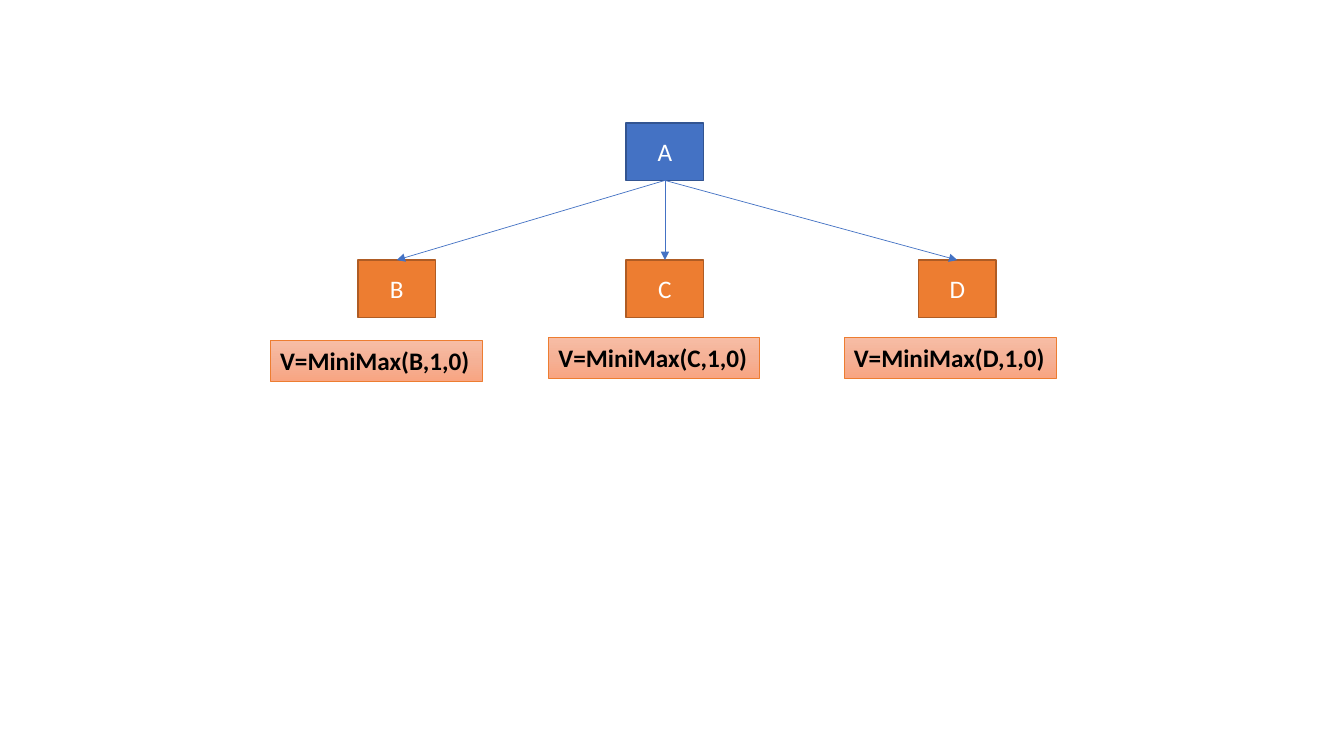
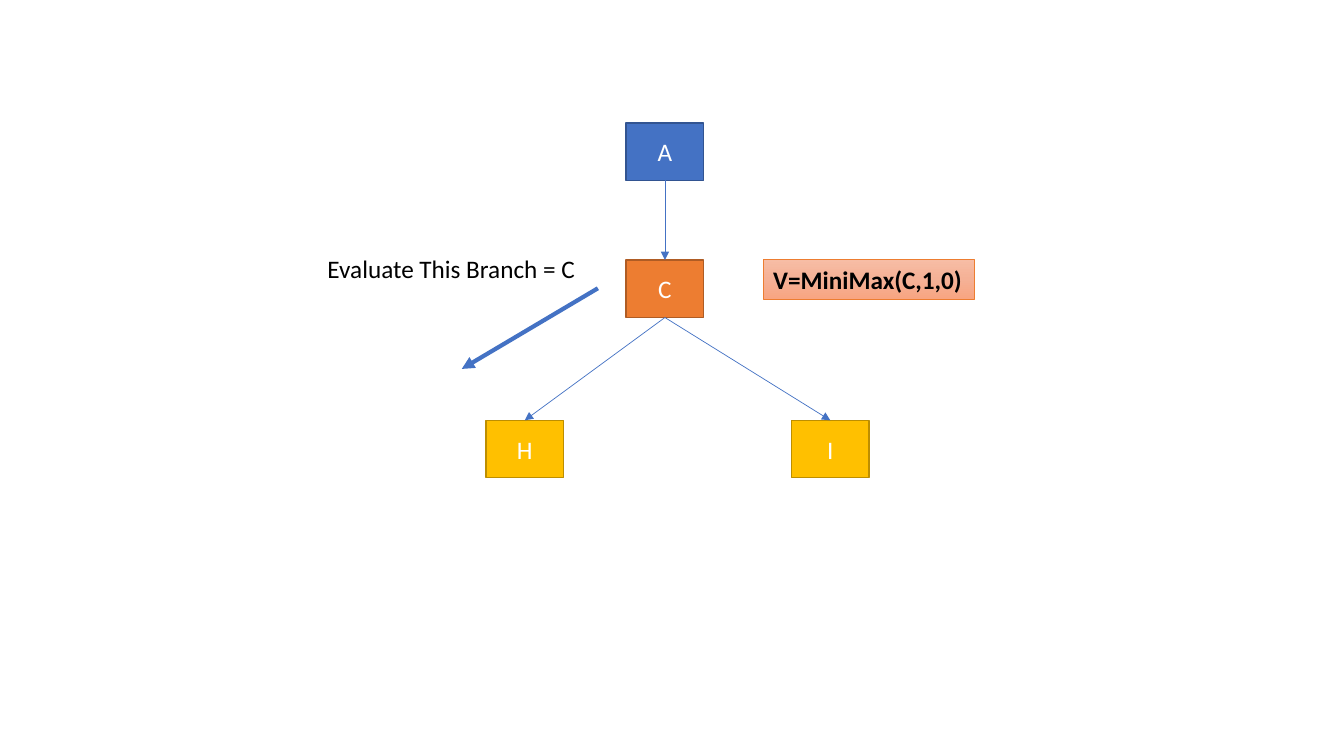
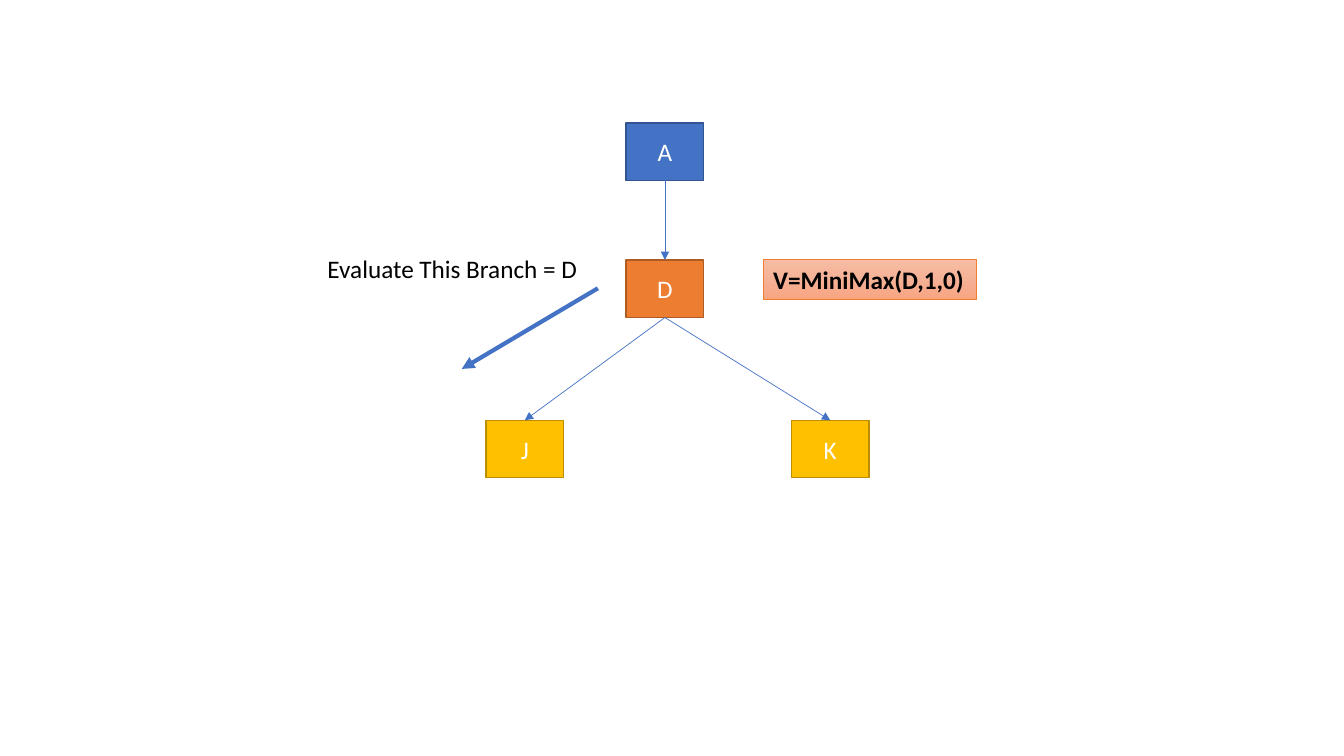
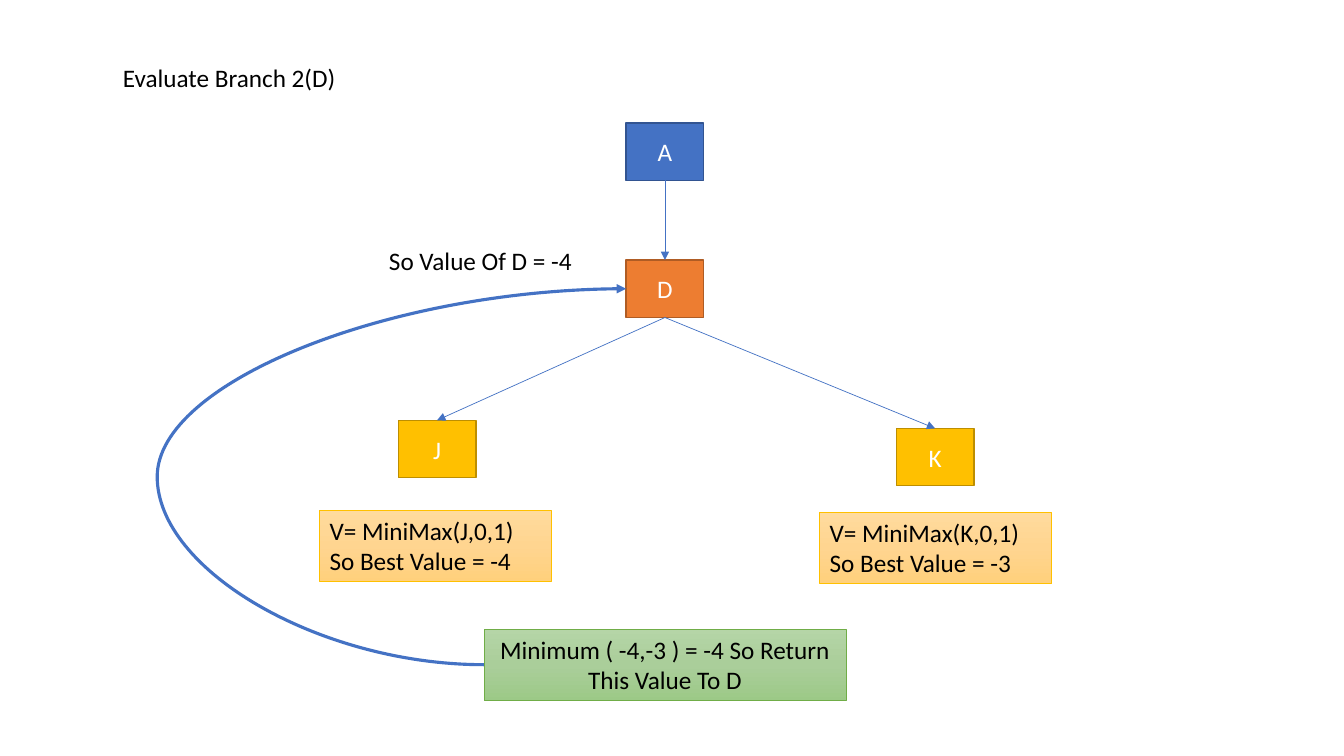
from copy import deepcopy
from dataclasses import dataclass

from pptx import Presentation
from pptx.dml.color import RGBColor
from pptx.enum.shapes import MSO_CONNECTOR, MSO_SHAPE
from pptx.enum.text import MSO_ANCHOR, MSO_AUTO_SIZE, PP_ALIGN
from pptx.oxml.ns import qn
from pptx.util import Emu, Pt

RECTANGLE = MSO_SHAPE.RECTANGLE
STRAIGHT, CURVE = MSO_CONNECTOR.STRAIGHT, MSO_CONNECTOR.CURVE
TOP, MIDDLE = MSO_ANCHOR.TOP, MSO_ANCHOR.MIDDLE
LEFT, CENTER = PP_ALIGN.LEFT, PP_ALIGN.CENTER
FIT_SHAPE = MSO_AUTO_SIZE.SHAPE_TO_FIT_TEXT
TOP_SIDE, LEFT_SIDE, BOTTOM_SIDE = 0, 1, 2

PX = 9144  # 100 px to the inch


@dataclass(frozen=True)
class Theme:
    font: str = "Calibri"
    size: int = 18
    white: str = "FFFFFF"
    black: str = "000000"
    arrow: str = "4472C4"
    thin: float = 0.5
    node_line: float = 1
    curve_line: float = 2.25
    pointer_line: float = 3


THEME = Theme()

# Fill and outline of the nodes on each level of the tree
LEVELS = [("4472C4", "325491"), ("ED7D31", "AF5C24"), ("FFC000", "BD8E00")]
# Gradient stops and outline of the labels
ORANGE = (("F7BDA5", "F5B196", "F8A582"), "ED7D31")
GOLD = (("FFDB9E", "FFD590", "FFD07C"), "FFC000")
GREEN = (("B5D5A7", "AACE9A", "9CC987"), "70AD47")

NODE_WIDTH, NODE_HEIGHT = 77, 57
LINE_HEIGHT, TWO_LINES = 40, 71
CENTER_X = 621
ROOT_Y, CHILD_Y, LEAF_Y = 122, 258, 417
ROOT = ("A", 0, CENTER_X, ROOT_Y, None)

# Nodes: name, level, left, top, parent
# Labels: lines, left, top, width, height, style, bold, wrap, alignment
OVERVIEW_CHILDREN = [("B", 355, 268, 338, 210), ("C", CENTER_X, 544, 335, 209),
                     ("D", 911, 837, 335, 211)]
BRANCHES = [("C", ("H", "I"), 274, 209), ("D", ("J", "K"), 276, 211)]
BRANCH_LEAF_X = (482, 785)
POINTER = (593, 286, 458, 366)

RESULT_NODES = [
    ROOT,
    ("D", 1, CENTER_X, CHILD_Y, "A"),
    ("J", 2, 395, LEAF_Y, "D"),
    ("K", 2, 889, 425, "D"),
]
RESULT_LABELS = [
    (["Evaluate Branch 2(D)"], 112, 57, 245, LINE_HEIGHT, None, False, False, LEFT),
    (["So Value Of D = -4"], 376, 238, 210, LINE_HEIGHT, None, False, False, LEFT),
    (["V= MiniMax(J,0,1)", "So Best Value = -4"],
     317, 506, 230, TWO_LINES, GOLD, False, True, LEFT),
    (["V= MiniMax(K,0,1)", "So Best Value = -3"],
     813, 508, 230, TWO_LINES, GOLD, False, True, LEFT),
]
RETURN_LABEL = (["Minimum ( -4,-3 ) = -4 So Return This Value To D"],
                480, 624, 359, TWO_LINES, GREEN, False, True, CENTER)
CURVE_BEND = -229900  # share of the width, in 1/100000


def px(*lengths):
    return [Emu(length * PX) for length in lengths]


def rgb(code):
    return RGBColor.from_string(code)


def write(box, lines, color, align, anchor, bold=False):
    frame = box.text_frame
    frame.vertical_anchor = anchor
    for index, line in enumerate(lines):
        para = frame.add_paragraph() if index else frame.paragraphs[0]
        para.text = line
        para.alignment = align
        para.font.name = THEME.font
        para.font.size = Pt(THEME.size)
        para.font.bold = bold
        para.font.color.rgb = rgb(color)


def outline(shape, color, width):
    shape.line.color.rgb = rgb(color)
    shape.line.width = Pt(width)


def fill_gradient(box, colors):
    box.fill.gradient()
    box.fill.gradient_angle = 270
    first = box._element.spPr.find(qn("a:gradFill")).find(qn("a:gsLst"))[0]
    first.addnext(deepcopy(first))
    for index, (stop, color) in enumerate(zip(box.fill.gradient_stops, colors)):
        stop.position = index / (len(colors) - 1)
        stop.color.rgb = rgb(color)


def add_node(page, name, level, left, top):
    box = page.shapes.add_shape(RECTANGLE, *px(left, top, NODE_WIDTH, NODE_HEIGHT))
    box.shadow.inherit = False
    fill, line = LEVELS[level]
    box.fill.solid()
    box.fill.fore_color.rgb = rgb(fill)
    outline(box, line, THEME.node_line)
    write(box, [name], THEME.white, CENTER, MIDDLE)
    return box


def add_label(page, lines, left, top, width, height, style, bold, wrap, align):
    place = px(left, top, width, height)
    if style:
        box = page.shapes.add_shape(RECTANGLE, *place)
        box.shadow.inherit = False
        colors, line = style
        fill_gradient(box, colors)
        outline(box, line, THEME.thin)
    else:
        box = page.shapes.add_textbox(*place)
    box.text_frame.word_wrap = wrap
    box.text_frame.auto_size = FIT_SHAPE
    write(box, lines, THEME.black, align, TOP, bold)
    return box


def add_call(page, name, left, top, width):
    add_label(page, [f"V=MiniMax({name},1,0)"], left, top, width, LINE_HEIGHT,
              ORANGE, True, False, LEFT)


def add_arrow(page, kind, width, points=(0, 0, 0, 0), begin=None, end=None):
    """Draw an arrow between points, or between (box, side) pairs."""
    arrow = page.shapes.add_connector(kind, *px(*points))
    if begin:
        arrow.begin_connect(*begin)
        arrow.end_connect(*end)
    outline(arrow, THEME.arrow, width)
    properties = arrow._element.spPr
    head = properties.find(qn("a:ln")).makeelement(qn("a:tailEnd"), {"type": "triangle"})
    properties.find(qn("a:ln")).append(head)
    properties.append(properties.makeelement(qn("a:effectLst"), {}))
    return arrow


def bend(arrow, amount):
    geometry = arrow._element.spPr.find(qn("a:prstGeom"))
    guides = geometry.find(qn("a:avLst"))
    guides.append(guides.makeelement(
        qn("a:gd"), {"name": "adj1", "fmla": f"val {amount}"}))


def add_tree(page, nodes):
    boxes = {name: add_node(page, name, level, left, top)
             for name, level, left, top, _ in nodes}
    for name, *_, parent in nodes:
        if parent:
            add_arrow(page, STRAIGHT, THEME.thin, begin=(boxes[parent], BOTTOM_SIDE),
                      end=(boxes[name], TOP_SIDE))
    return boxes


def build_overview(page):
    add_tree(page, [ROOT] + [(name, 1, left, CHILD_Y, "A")
                             for name, left, *_ in OVERVIEW_CHILDREN])
    for name, _, left, top, width in OVERVIEW_CHILDREN:
        add_call(page, name, left, top, width)


def build_branch(page, name, leaves, title_width, call_width):
    add_tree(page, [ROOT, (name, 1, CENTER_X, CHILD_Y, "A")]
             + [(leaf, 2, left, LEAF_Y, name)
                for leaf, left in zip(leaves, BRANCH_LEAF_X)])
    add_label(page, [f"Evaluate This Branch = {name}"], 315, 246, title_width,
              LINE_HEIGHT, None, False, False, LEFT)
    add_call(page, name, 757, 257, call_width)
    add_arrow(page, STRAIGHT, THEME.pointer_line, POINTER)


def build_result(page):
    boxes = add_tree(page, RESULT_NODES)
    for label in RESULT_LABELS:
        add_label(page, *label)
    result = add_label(page, *RETURN_LABEL)
    curve = add_arrow(page, CURVE, THEME.curve_line, begin=(result, LEFT_SIDE),
                      end=(boxes["D"], LEFT_SIDE))
    bend(curve, CURVE_BEND)


def main():
    deck = Presentation()
    deck.slide_width, deck.slide_height = px(1333, 750)
    blank = deck.slide_layouts[6]
    build_overview(deck.slides.add_slide(blank))
    for branch in BRANCHES:
        build_branch(deck.slides.add_slide(blank), *branch)
    build_result(deck.slides.add_slide(blank))
    deck.save("out.pptx")


if __name__ == "__main__":
    main()
